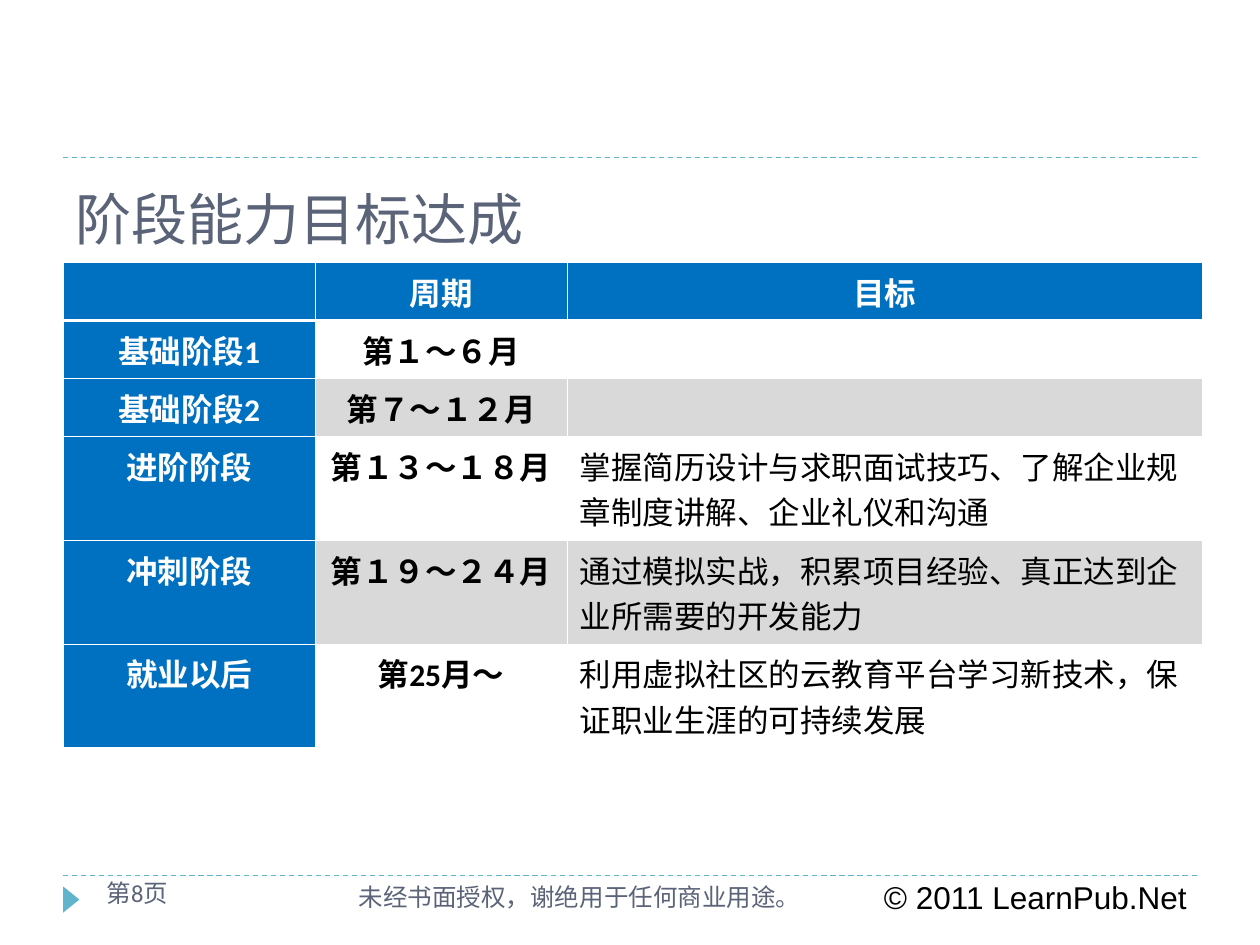
from lxml.etree import SubElement
from pptx import Presentation
from pptx.dml.color import RGBColor
from pptx.enum.dml import MSO_LINE
from pptx.enum.shapes import MSO_CONNECTOR, MSO_SHAPE
from pptx.enum.text import MSO_ANCHOR, PP_ALIGN
from pptx.oxml.ns import qn
from pptx.util import Cm, Pt

COLORS = {"accent": "60B5CC", "slate": "5A6378", "blue": "0070C0",
          "band": "D9D9D9", "white": "FFFFFF", "black": "000000"}


def style_paragraph(para, size, font_name, color, bold=False):
    para.font.size = Pt(size)
    para.font.name = font_name
    para.font.bold = bold
    para.font.color.rgb = RGBColor.from_string(COLORS[color])


def add_border(cell, side, width):
    line = SubElement(cell._tc.get_or_add_tcPr(), qn(f"a:{side}"), w=str(Pt(width)))
    fill = SubElement(line, qn("a:solidFill"))
    SubElement(fill, qn("a:srgbClr"), val=COLORS["white"])


deck = Presentation()
deck.slide_width = Cm(25.4)
deck.slide_height = Cm(19.05)
page = deck.slides.add_slide(deck.slide_layouts[6])

for y in (17.65, 3.18):
    rule = page.shapes.add_connector(MSO_CONNECTOR.STRAIGHT, Cm(1.27), Cm(y), Cm(24.13), Cm(y))
    rule.line.color.rgb = RGBColor.from_string(COLORS["accent"])
    rule.line.width = Pt(0.75)
    rule.line.dash_style = MSO_LINE.DASH
    SubElement(rule._element.spPr, qn("a:effectLst"))

marker = page.shapes.add_shape(MSO_SHAPE.ISOSCELES_TRIANGLE, Cm(1.17), Cm(17.97), Cm(0.53), Cm(0.33))
marker.rotation = 90
marker.shadow.inherit = False
marker.fill.solid()
marker.fill.fore_color.rgb = RGBColor.from_string(COLORS["accent"])
marker.line.fill.background()

texts = [
    ("© 2011 LearnPub.Net", 17.57, 17.58, 6.78, 1.02, 18, "Arial", "black", MSO_ANCHOR.TOP),
    ("未经书面授权，谢绝用于任何商业用途。", 6.98, 17.65, 10.16, 1.02, 14, "Calibri", "slate", MSO_ANCHOR.TOP),
    ("第8页", 1.9, 17.58, 4.22, 1.02, 14, "Calibri", "slate", MSO_ANCHOR.TOP),
    ("阶段能力目标达成", 1.27, 3.67, 22.86, 1.47, 32, "Roboto Slab", "slate", MSO_ANCHOR.MIDDLE),
]
for text, left, top, width, height, size, font_name, color, anchor in texts:
    box = page.shapes.add_textbox(Cm(left), Cm(top), Cm(width), Cm(height))
    box.text_frame.word_wrap = True
    box.text_frame.vertical_anchor = anchor
    para = box.text_frame.paragraphs[0]
    para.text = text
    style_paragraph(para, size, font_name, color)

stages = [
    ("", "周期", "目标"),
    ("基础阶段1", "第１～６月", ""),
    ("基础阶段2", "第７～１２月", ""),
    ("进阶阶段", "第１３～１８月", "掌握简历设计与求职面试技巧、了解企业规章制度讲解、企业礼仪和沟通"),
    ("冲刺阶段", "第１９～２４月", "通过模拟实战，积累项目经验、真正达到企业所需要的开发能力"),
    ("就业以后", "第25月～", "利用虚拟社区的云教育平台学习新技术，保证职业生涯的可持续发展"),
]
column_widths = (5.08, 5.08, 12.81)
row_heights = (1.17, 1.17, 1.17, 2.09, 2.09, 2.09)
table = page.shapes.add_table(len(stages), len(column_widths), Cm(1.27), Cm(5.29),
                              Cm(sum(column_widths)), Cm(sum(row_heights))).table
for column, width in zip(table.columns, column_widths):
    column.width = Cm(width)
for row, height in zip(table.rows, row_heights):
    row.height = Cm(height)

for row_index, stage in enumerate(stages):
    for column_index, text in enumerate(stage):
        cell = table.cell(row_index, column_index)
        heading = row_index == 0 or column_index == 0
        goal = column_index == 2 and not heading
        for side in ("lnL", "lnR", "lnT", "lnB"):
            below_header = (row_index, side) in ((0, "lnB"), (1, "lnT"))
            add_border(cell, side, 1.47 if below_header else 0.45)
        if heading or row_index % 2 == 0:
            cell.fill.solid()
            cell.fill.fore_color.rgb = RGBColor.from_string(COLORS["blue" if heading else "band"])
        else:
            cell.fill.background()
        para = cell.text_frame.paragraphs[0]
        para.text = text
        para.alignment = PP_ALIGN.LEFT if goal else PP_ALIGN.CENTER
        style_paragraph(para, 18, "Calibri", "white" if heading else "black", not goal)

deck.save("out.pptx")
